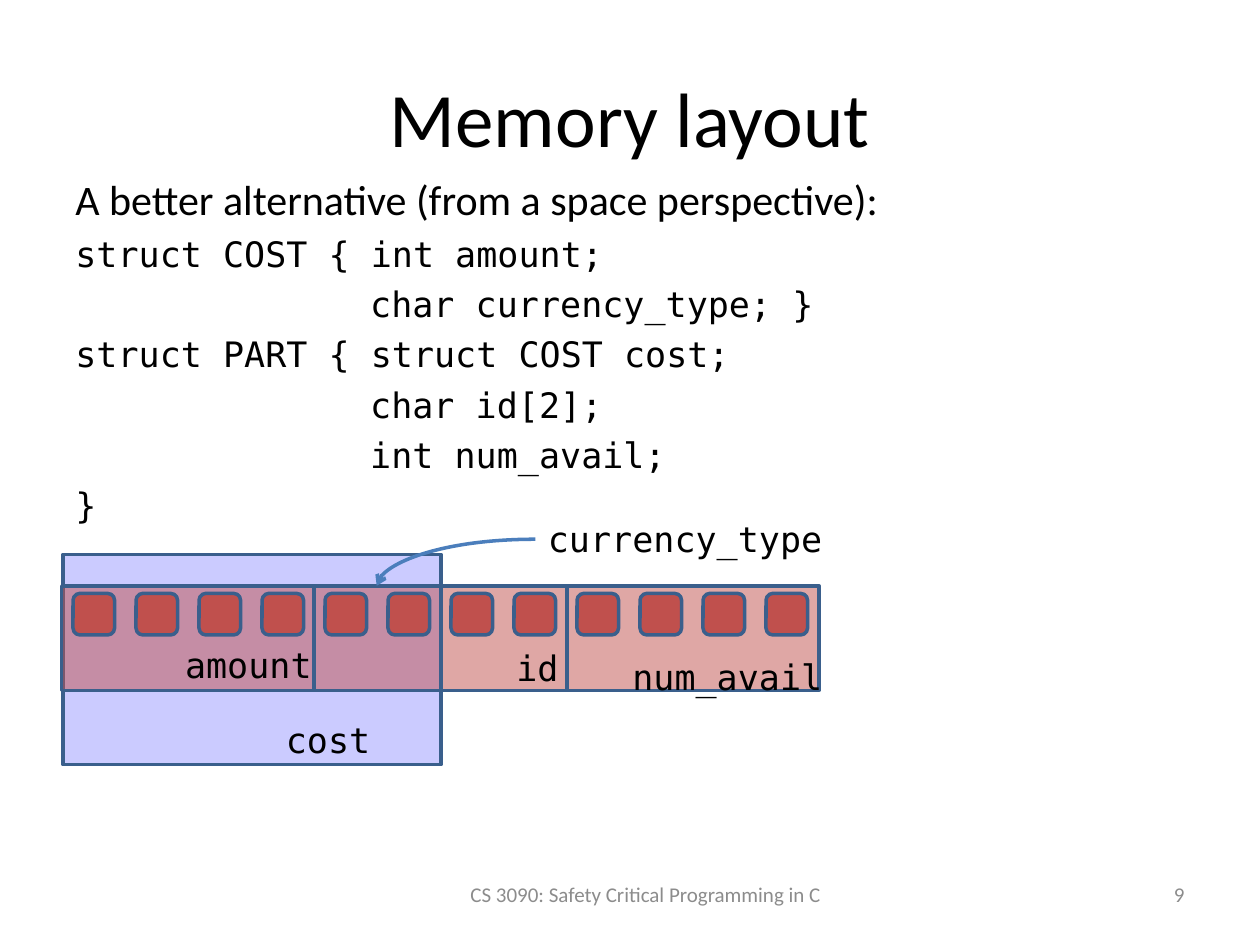
from lxml import etree
from pptx import Presentation
from pptx.dml.color import RGBColor
from pptx.enum.shapes import MSO_CONNECTOR, MSO_SHAPE
from pptx.enum.text import MSO_ANCHOR, MSO_AUTO_SIZE, PP_ALIGN
from pptx.oxml.ns import qn
from pptx.util import Inches, Pt

RECT, ROUND = MSO_SHAPE.RECTANGLE, MSO_SHAPE.ROUNDED_RECTANGLE
CURVE = MSO_CONNECTOR.CURVE
LEFT, MID, RIGHT = PP_ALIGN.LEFT, PP_ALIGN.CENTER, PP_ALIGN.RIGHT
TOP, MIDDLE = MSO_ANCHOR.TOP, MSO_ANCHOR.MIDDLE
GROW, FIXED = MSO_AUTO_SIZE.SHAPE_TO_FIT_TEXT, MSO_AUTO_SIZE.NONE

SANS, MONO = "Calibri", "DejaVu Sans Mono"
BLACK, GREY, RED, LILAC = "000000", "8C8C8C", "C0504D", "9999FF"
EDGE, ARROW = "3A5F8C", "4B7EBC"
HANG, DEEP = (0.38, -0.38), (2.34, 0)

INTRO = "A better alternative (from a space perspective):"
CODE = [
    ("struct COST { int amount;", HANG),
    ("char currency_type; }", DEEP),
    ("struct PART { struct COST cost;", HANG),
    ("char id[2];", DEEP),
    ("int num_avail;", DEEP),
    ("}", HANG),
]
BODY = [(INTRO, HANG, {"size": Pt(24), "name": SANS})]
BODY += [(line, ind, {"size": Pt(20), "name": MONO}) for line, ind in CODE]

COST = (0.5, 4.4, 3, 1.67)
FIELDS = [(4.5, 2), (2.49, 1.01), (0.49, 2), (3.5, 1)]
BYTES, STEP = 12, 0.5
LABELS = [
    ("id", 4, 5.08, 0.54),
    ("amount", 1.37, 5.06, 1.21),
    ("num_avail", 4.92, 5.15, 1.72),
    ("cost", 2.17, 5.65, 0.88),
    ("currency_type", 4.25, 4.06, 2.39),
]
FOOT = [
    ("CS 3090: Safety Critical Programming in C", (3.17, 6.95, 3.91, 0.4), MID),
    ("9", (7.17, 6.95, 2.33, 0.4), RIGHT),
]


def color(code):
    return RGBColor.from_string(code)


def place(box):
    return [Inches(n) for n in box]


def style(item, form):
    for key, val in form.items():
        setattr(item, key, val)


def write(par, words, form, ink=BLACK):
    run = par.add_run()
    run.text = words
    style(run.font, form)
    run.font.color.rgb = color(ink)


def frame(box, **form):
    text = slide.shapes.add_textbox(*place(box)).text_frame
    style(text, {"word_wrap": True, "auto_size": FIXED,
                 "vertical_anchor": TOP, **form})
    return text


def label(words, box, size, font=SANS, ink=BLACK, align=LEFT, **form):
    par = frame(box, **form).paragraphs[0]
    par.alignment = align
    write(par, words, {"size": Pt(size), "name": font}, ink)


def block(kind, box, fill, alpha=None):
    shape = slide.shapes.add_shape(kind, *place(box))
    shape.shadow.inherit = False
    shape.fill.solid()
    shape.fill.fore_color.rgb = color(fill)
    if alpha:
        tint = next(shape.element.spPr.iter(qn("a:srgbClr")))
        etree.SubElement(tint, qn("a:alpha")).set("val", str(alpha * 1000))
    shape.line.color.rgb = color(EDGE)
    shape.line.width = Pt(2)


def arrow(start, end):
    link = slide.shapes.add_connector(CURVE, *place(start + end))
    link.line.color.rgb = color(ARROW)
    link.line.width = Pt(2)
    prop = link.element.spPr
    prop.find(qn("a:prstGeom")).set("prst", "curvedConnector2")
    etree.SubElement(prop.find(qn("a:ln")), qn("a:tailEnd")).set("type", "arrow")
    etree.SubElement(prop, qn("a:effectLst"))


def body():
    text = frame((0.5, 1.33, 9, 5.4))
    for i, (words, (left, first), form) in enumerate(BODY):
        par = text.add_paragraph() if i else text.paragraphs[0]
        par.space_before = Pt(4.7)
        prop = par._p.get_or_add_pPr()
        prop.set("marL", str(Inches(left)))
        prop.set("indent", str(Inches(first)))
        write(par, words, form)


deck = Presentation()
style(deck, {"slide_width": Inches(10), "slide_height": Inches(7.5)})
slide = deck.slides.add_slide(deck.slide_layouts[6])

body()
block(RECT, COST, LILAC, 50)
for left, width in FIELDS:
    block(RECT, (left, 4.65, width, 0.83), RED, 50)
label("Memory layout", (0.5, 0.3, 9, 1.25), 44, align=MID, vertical_anchor=MIDDLE)
for words, box, align in FOOT:
    label(words, box, 12, ink=GREY, align=align)
for i in range(BYTES):
    block(ROUND, (0.58 + i * STEP, 4.71, 0.33, 0.33), RED)
for words, left, top, width in LABELS:
    label(words, (left, top, width, 0.44), 20, MONO, word_wrap=False, auto_size=GROW)
arrow((4.25, 4.28), (2.99, 4.65))

deck.save("out.pptx")
